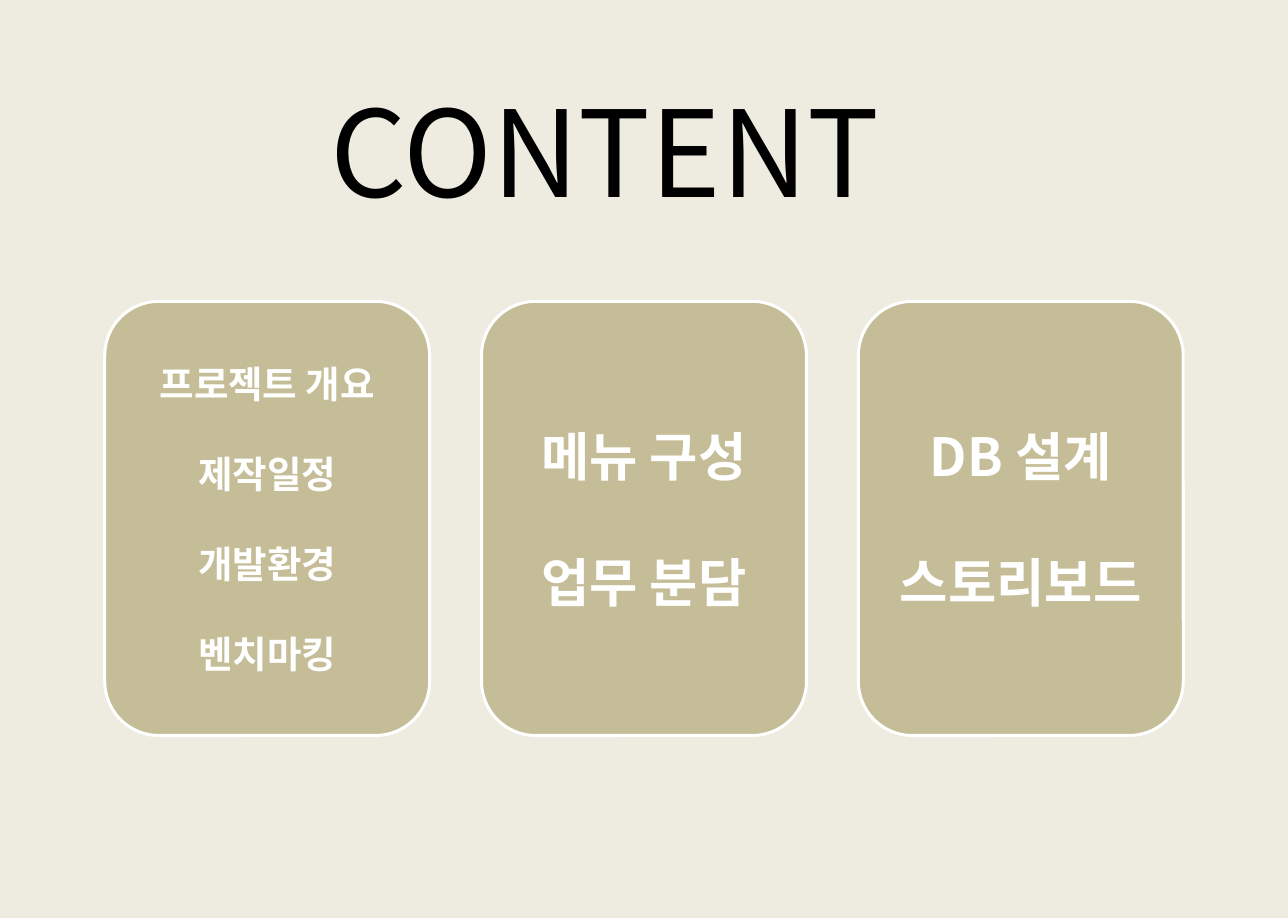
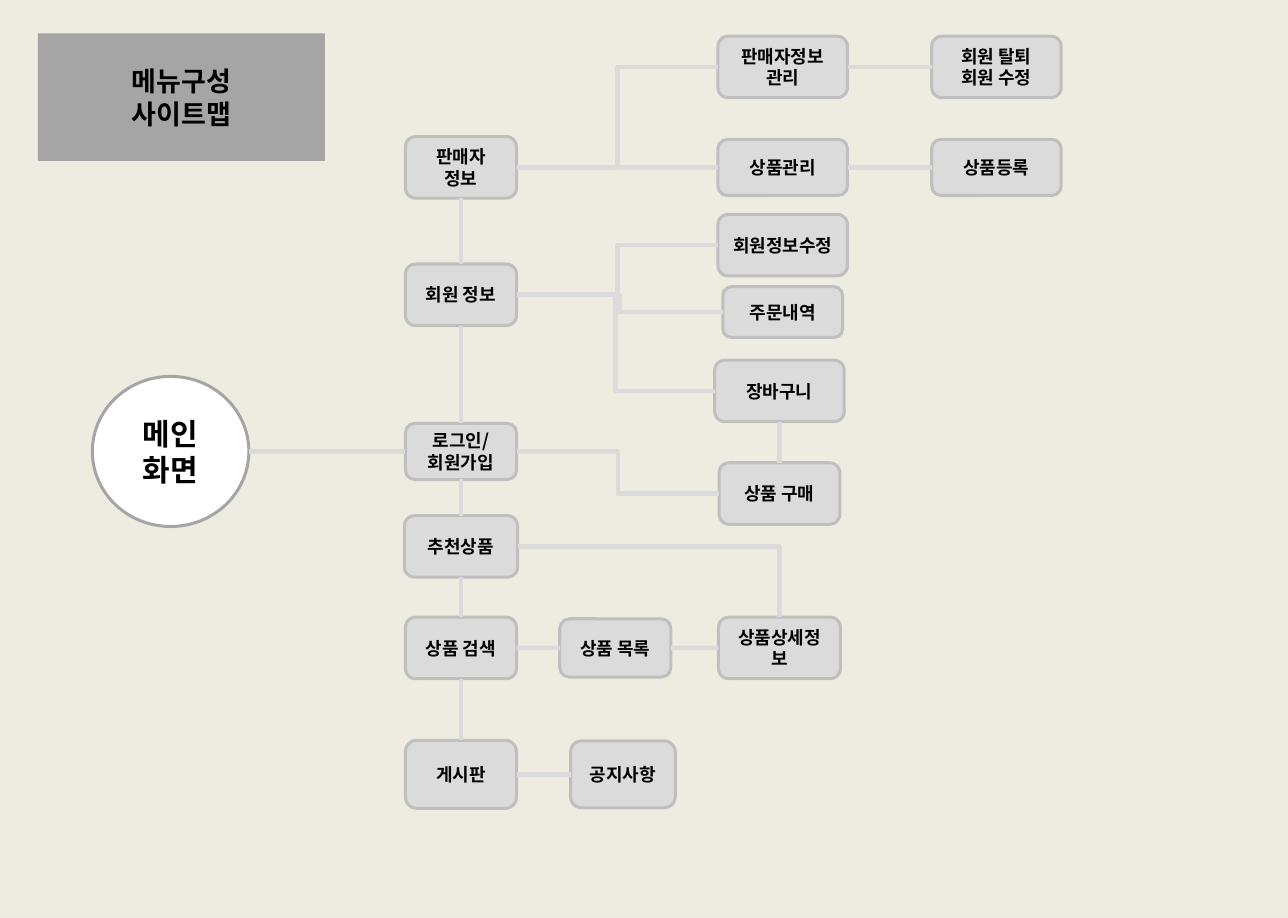
from dataclasses import dataclass

from lxml import etree
from pptx import Presentation
from pptx import util as u
from pptx.dml.color import RGBColor
from pptx.enum import shapes, text
from pptx.oxml.ns import qn

WIDTH, HEIGHT = 11.93, 8.5
FONT = "Noto Sans CJK KR"
LINE_HEIGHT = 1.2
TITLE_ONLY = 5

CREAM = RGBColor(0xEE, 0xEC, 0xE1)
KHAKI = RGBColor(0xC4, 0xBD, 0x97)
WHITE = RGBColor(0xFF, 0xFF, 0xFF)
BLACK = RGBColor(0x00, 0x00, 0x00)
GREY = RGBColor(0xA5, 0xA5, 0xA5)
PALE = RGBColor(0xDB, 0xDB, 0xDB)
EDGE = RGBColor(0xBF, 0xBF, 0xBF)

ROUND = shapes.MSO_SHAPE.ROUNDED_RECTANGLE
OVAL = shapes.MSO_SHAPE.OVAL
TOP, LEFT, BOTTOM, RIGHT = range(4)

# Site map grid: centres of columns and rows, in inches
COLS = {"main": 1.58, "menu": 4.27, "list": 5.7, "notice": 5.77,
        "detail": 7.25, "order": 7.22, "action": 9.23}
ROWS = (0.62, 1.55, 2.27, 2.73, 2.89, 3.62, 4.18, 4.57, 5.06, 6.0, 7.17)


@dataclass(frozen=True)
class Card:
    lines: tuple[str, ...]
    size: float


@dataclass(frozen=True)
class Node:
    label: str
    col: str
    row: int
    w: float = 1.03
    h: float = 0.57


@dataclass(frozen=True)
class Link:
    start: str
    end: str
    start_side: int = RIGHT
    end_side: int = LEFT


CARDS = (
    Card(("프로젝트 개요", "제작일정", "개발환경", "벤치마킹"), 25),
    Card(("메뉴 구성", "업무 분담"), 35),
    Card(("DB 설계", "스토리보드"), 35),
)

NODES = {
    "seller": Node("판매자\n정보", "menu", 1),
    "member": Node("회원 정보", "menu", 3),
    "login": Node("로그인/\n회원가입", "menu", 6, h=0.52),
    "picks": Node("추천상품", "menu", 8, w=1.05),
    "search": Node("상품 검색", "menu", 9),
    "board": Node("게시판", "menu", 10, h=0.63),
    "goods": Node("상품 목록", "list", 9, h=0.54),
    "notice": Node("공지사항", "notice", 10, w=0.97, h=0.62),
    "seller_admin": Node("판매자정보\n관리", "detail", 0, w=1.2),
    "goods_admin": Node("상품관리", "detail", 1, w=1.2, h=0.52),
    "member_edit": Node("회원정보수정", "detail", 2, w=1.2),
    "orders": Node("주문내역", "detail", 4, w=1.11, h=0.47),
    "cart": Node("장바구니", "order", 5, w=1.2),
    "purchase": Node("상품 구매", "order", 7, w=1.12),
    "goods_detail": Node("상품상세정보", "order", 9, w=1.13),
    "member_action": Node("회원 탈퇴\n회원 수정", "action", 0, w=1.2),
    "goods_entry": Node("상품등록", "action", 1, w=1.2, h=0.52),
}

MENU = ("seller", "member", "login", "picks", "search", "board")
LINKS = (
    *(Link(a, b, BOTTOM, TOP) for a, b in zip(MENU, MENU[1:])),
    Link("seller", "seller_admin"),
    Link("seller", "goods_admin"),
    Link("seller_admin", "member_action"),
    Link("goods_admin", "goods_entry"),
    Link("member", "member_edit"),
    Link("member", "orders"),
    Link("member", "cart"),
    Link("login", "purchase"),
    Link("cart", "purchase", BOTTOM, TOP),
    Link("picks", "goods_detail", RIGHT, TOP),
    Link("search", "goods"),
    Link("goods", "goods_detail"),
    Link("board", "notice"),
)


def write(sp, lines, *, size: float, color=BLACK, bold=True, gap=0.0,
          align=text.PP_ALIGN.CENTER, anchor=text.MSO_ANCHOR.MIDDLE) -> None:
    """Fill a shape with one paragraph per line; gap is in points."""
    tf = sp.text_frame
    tf.word_wrap = True
    tf.auto_size = text.MSO_AUTO_SIZE.NONE
    tf.vertical_anchor = anchor
    for i, line in enumerate(lines):
        p = tf.add_paragraph() if i else tf.paragraphs[0]
        p.alignment = align
        if i and gap:
            p.space_before = u.Pt(gap)
        r = p.add_run()
        r.text = line
        r.font.size, r.font.bold, r.font.name = u.Pt(size), bold, FONT
        r.font.color.rgb = color
        ea = etree.SubElement(r.font._element, qn("a:ea"))
        ea.set("typeface", FONT)


def add_box(s, kind, x: float, y: float, w: float, h: float, fill, line):
    sp = s.shapes.add_shape(kind, *map(u.Inches, (x, y, w, h)))
    sp.shadow.inherit = False
    sp.fill.solid()
    sp.fill.fore_color.rgb = fill
    sp.line.color.rgb = line
    sp.line.width = u.Pt(2)
    return sp


def place_title(s, x: float, y: float, w: float, h: float):
    sp = s.shapes.title
    sp.left, sp.top, sp.width, sp.height = map(u.Inches, (x, y, w, h))
    return sp


def round_corners(sp) -> None:
    """Give a placeholder the rounded rectangle outline."""
    geom = etree.Element(qn("a:prstGeom"), prst="roundRect")
    etree.SubElement(geom, qn("a:avLst"))
    sp._element.spPr.find(qn("a:xfrm")).addnext(geom)


def add_node(s, node: Node):
    x = COLS[node.col] - node.w / 2
    y = ROWS[node.row] - node.h / 2
    sp = add_box(s, ROUND, x, y, node.w, node.h, PALE, EDGE)
    write(sp, node.label.split("\n"), size=12)
    return sp


def side_point(sp, side: int) -> tuple[int, int]:
    dx, dy = {TOP: (1, 0), LEFT: (0, 1), BOTTOM: (1, 2), RIGHT: (2, 1)}[side]
    return sp.left + sp.width * dx // 2, sp.top + sp.height * dy // 2


def add_link(s, start, end, start_side=RIGHT, end_side=LEFT):
    x1, y1 = side_point(start, start_side)
    x2, y2 = side_point(end, end_side)
    near = u.Inches(0.02)
    straight = abs(x1 - x2) < near or abs(y1 - y2) < near
    kind = shapes.MSO_CONNECTOR.STRAIGHT if straight else shapes.MSO_CONNECTOR.ELBOW
    cx = s.shapes.add_connector(kind, x1, y1, x2, y2)
    cx.line.color.rgb = PALE
    cx.line.width = u.Pt(3)
    sp_pr = cx._element.spPr
    etree.SubElement(sp_pr, qn("a:effectLst"))
    if not straight and (start_side, end_side) == (RIGHT, TOP):
        sp_pr.find(qn("a:prstGeom")).set("prst", "bentConnector2")
    if start.auto_shape_type == ROUND:
        cx.begin_connect(start, start_side)
    cx.end_connect(end, end_side)


def build_contents(s) -> None:
    write(place_title(s, 2.96, 0.67, 6.72, 1.45), ["CONTENT"], size=80, bold=False,
          align=text.PP_ALIGN.LEFT, anchor=text.MSO_ANCHOR.TOP)
    margin, gap, top, height = 0.97, 0.48, 2.79, 4.02
    width = (WIDTH - 2 * margin - (len(CARDS) - 1) * gap) / len(CARDS)
    for i, card in enumerate(CARDS):
        sp = add_box(s, ROUND, margin + i * (width + gap), top, width, height,
                     KHAKI, WHITE)
        write(sp, card.lines, size=card.size, color=WHITE,
              gap=card.size * LINE_HEIGHT)


def build_site_map(s) -> None:
    title = place_title(s, 0.35, 0.31, 2.66, 1.18)
    round_corners(title)
    title.fill.solid()
    title.fill.fore_color.rgb = GREY
    write(title, ["메뉴구성", "사이트맵"], size=18)

    w, h = 1.45, 1.39
    main_screen = add_box(s, OVAL, COLS["main"] - w / 2, ROWS[6] - h / 2, w, h,
                          WHITE, GREY)
    write(main_screen, ["메인", "화면"], size=20)

    boxes = {name: add_node(s, node) for name, node in NODES.items()}
    add_link(s, main_screen, boxes["login"])
    for link in LINKS:
        add_link(s, boxes[link.start], boxes[link.end],
                 link.start_side, link.end_side)


def main() -> None:
    prs = Presentation()
    prs.slide_width, prs.slide_height = u.Inches(WIDTH), u.Inches(HEIGHT)
    fill = prs.slide_master.background.fill
    fill.solid()
    fill.fore_color.rgb = CREAM
    for build in (build_contents, build_site_map):
        build(prs.slides.add_slide(prs.slide_layouts[TITLE_ONLY]))
    prs.save("out.pptx")


if __name__ == "__main__":
    main()
